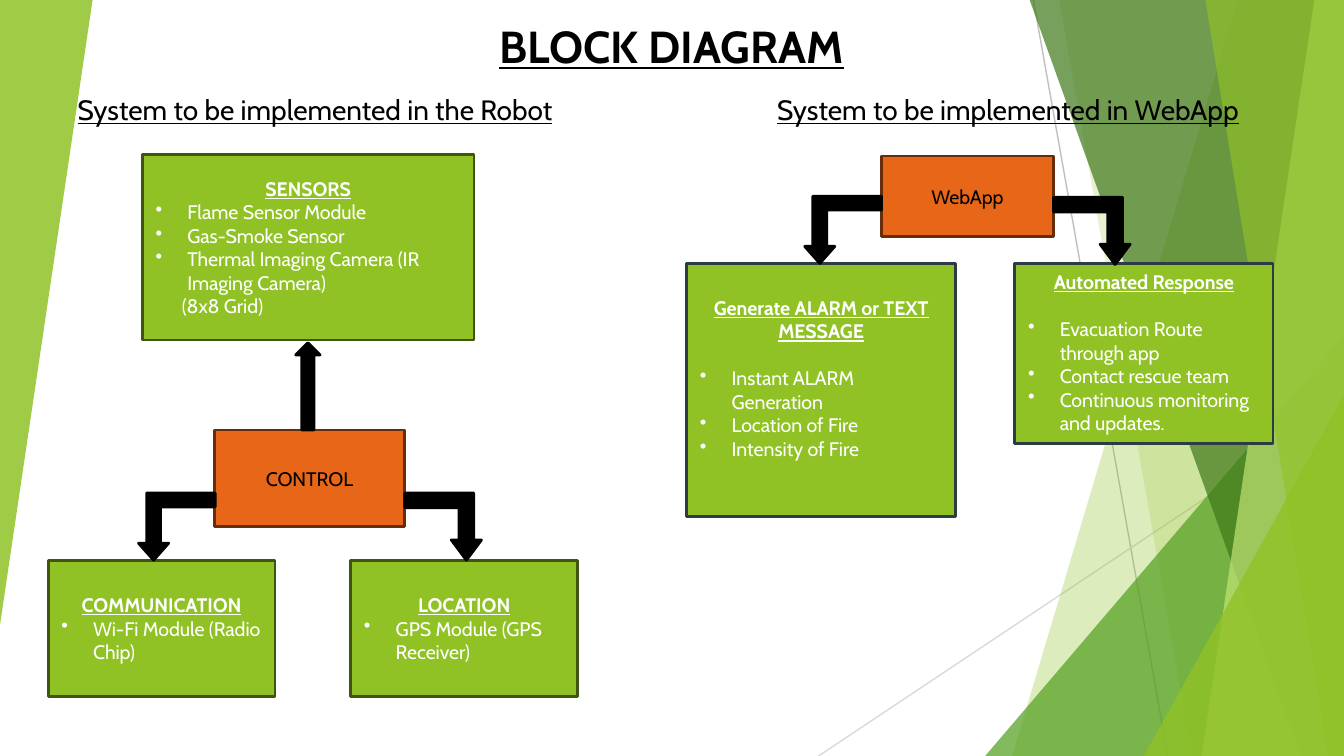
from pptx import Presentation
from pptx.dml.color import RGBColor
from pptx.enum.shapes import MSO_CONNECTOR, MSO_SHAPE
from pptx.enum.text import MSO_ANCHOR, PP_ALIGN
from pptx.oxml.ns import qn
from pptx.oxml.xmlchemy import OxmlElement
from pptx.util import Cm, Pt

BLACK = RGBColor(0x00, 0x00, 0x00)
WHITE = RGBColor(0xFF, 0xFF, 0xFF)
GREEN = RGBColor(0x90, 0xC2, 0x26)
MID_GREEN = RGBColor(0x54, 0xA0, 0x21)
DARK_GREEN = RGBColor(0x3F, 0x78, 0x19)
PALE_GREEN = RGBColor(0xC0, 0xE4, 0x74)
ORANGE = RGBColor(0xE7, 0x66, 0x18)
GREEN_EDGE = RGBColor(0x3F, 0x55, 0x11)
ORANGE_EDGE = RGBColor(0x65, 0x2D, 0x0B)
SLATE_EDGE = RGBColor(0x2C, 0x3C, 0x43)
SILVER = RGBColor(0xBF, 0xBF, 0xBF)
LIGHT_SILVER = RGBColor(0xD9, 0xD9, 0xD9)

WIDTH, HEIGHT = 25.4, 14.29
FONT = "Cabin"
BLANK_LINE = Pt(12.6)


def write(paragraph, text, size=10.5, color=WHITE, bold=False, underline=False,
          align=PP_ALIGN.LEFT, bullet=False, indent=0, space_after=0):
    paragraph.alignment = align
    paragraph.space_after = space_after
    run = paragraph.add_run()
    run.text = text
    font = run.font
    font.name, font.size, font.bold, font.underline = FONT, Pt(size), bold, underline
    font.color.rgb = color
    properties = paragraph._p.get_or_add_pPr()
    if bullet:
        properties.set("marL", str(Cm(0.6)))
        properties.set("indent", str(-Cm(0.6)))
        mark = OxmlElement("a:buChar")
        mark.set("char", "•")
        properties.append(mark)
    elif indent:
        properties.set("marL", str(Cm(indent)))


class BlockDiagram:
    def __init__(self, slide):
        self.shapes = slide.shapes

    def paint(self, shape, fill, edge=None, opacity=100):
        shape.shadow.inherit = False
        shape.fill.solid()
        shape.fill.fore_color.rgb = fill
        if opacity < 100:
            alpha = OxmlElement("a:alpha")
            alpha.set("val", str(opacity * 1000))
            shape._element.spPr.find(qn("a:solidFill"))[0].append(alpha)
        if edge is None:
            shape.line.fill.background()
        else:
            shape.line.color.rgb = edge
            shape.line.width = Pt(1.5)

    def preset(self, kind, place, fill, edge=None, opacity=100, adjustments=()):
        shape = self.shapes.add_shape(kind, *map(Cm, place))
        for index, value in enumerate(adjustments):
            shape.adjustments[index] = value
        self.paint(shape, fill, edge, opacity)
        return shape

    def line(self, start, end, color):
        connector = self.shapes.add_connector(
            MSO_CONNECTOR.STRAIGHT, *map(Cm, start + end))
        connector.line.color.rgb = color
        connector.line.width = Pt(0.75)
        connector._element.spPr.append(OxmlElement("a:effectLst"))

    def band(self, top, bottom, fill, opacity):
        builder = self.shapes.build_freeform(Cm(top), 0)
        builder.add_line_segments([
            (Cm(WIDTH), 0), (Cm(WIDTH), Cm(HEIGHT)), (Cm(bottom), Cm(HEIGHT))])
        self.paint(builder.convert_to_shape(), fill, opacity=opacity)

    def triangle(self, place, fill, opacity):
        return self.preset(MSO_SHAPE.ISOSCELES_TRIANGLE, place, fill,
                           opacity=opacity, adjustments=(1,))

    def heading(self, text, place, size, bold=False):
        frame = self.shapes.add_textbox(*map(Cm, place)).text_frame
        frame.word_wrap = True
        write(frame.paragraphs[0], text, size=size, color=BLACK, bold=bold,
              underline=True, align=PP_ALIGN.CENTER)

    def hub(self, text, place):
        shape = self.preset(MSO_SHAPE.RECTANGLE, place, ORANGE, ORANGE_EDGE)
        write(shape.text_frame.paragraphs[0], text, color=BLACK, align=PP_ALIGN.CENTER)

    def box(self, title, items, place, edge=GREEN_EDGE, gap=0, anchor=MSO_ANCHOR.MIDDLE):
        frame = self.preset(MSO_SHAPE.RECTANGLE, place, GREEN, edge).text_frame
        frame.vertical_anchor = anchor
        write(frame.paragraphs[0], title, bold=True, underline=True,
              align=PP_ALIGN.CENTER, space_after=gap)
        for item in items:
            write(frame.add_paragraph(), item, bullet=True)
        return frame

    def bent_arrow(self, left, top, to_left):
        adjustments = (0.207, 0.224, 0.253) if to_left else (0.219, 0.224, 0.301)
        shape = self.preset(MSO_SHAPE.BENT_UP_ARROW, (left, top, 1.45, 1.27),
                            BLACK, BLACK, adjustments=adjustments)
        transform = shape._element.spPr.find(qn("a:xfrm"))
        transform.set("flipV", "1")
        if to_left:
            transform.set("flipH", "1")


def draw_backdrop(diagram):
    diagram.line((19.53, 0), (22.07, HEIGHT), SILVER)
    diagram.line((WIDTH, 7.67), (15.47, HEIGHT), LIGHT_SILVER)
    diagram.band(23.39, 19.13, GREEN, 30)
    diagram.band(20.02, 22.53, GREEN, 20)
    diagram.triangle((18.62, 6.35, 6.78, 7.94), MID_GREEN, 72)
    diagram.band(19.46, 24.59, DARK_GREEN, 70)
    diagram.band(24.84, 22.71, PALE_GREEN, 70)
    diagram.band(22.78, 25.1, GREEN, 65)
    diagram.triangle((21.62, 7.47, 3.78, 6.82), GREEN, 80)
    diagram.triangle((0, 0, 1.75, 11.81), GREEN, 85).rotation = 180


def draw_robot(diagram):
    diagram.heading("System to be implemented in the Robot", (0.86, 1.63, 10.19, 0.89), 15)
    diagram.hub("CONTROL", (4.06, 8.13, 3.58, 1.83))
    sensors = diagram.box(
        "SENSORS",
        ["Flame Sensor Module", "Gas-Smoke Sensor",
         "Thermal Imaging Camera (IR Imaging Camera)"],
        (2.69, 2.92, 6.27, 3.51))
    write(sensors.add_paragraph(), "(8x8 Grid)", indent=0.5)
    diagram.box("LOCATION", ["GPS Module (GPS Receiver)"], (6.63, 10.59, 4.29, 2.57))
    diagram.box("COMMUNICATION", ["Wi-Fi Module (Radio Chip)"], (0.91, 10.59, 4.29, 2.57))
    diagram.bent_arrow(7.65, 9.32, to_left=False)
    diagram.bent_arrow(2.62, 9.32, to_left=True)
    diagram.preset(MSO_SHAPE.UP_ARROW, (5.59, 6.48, 0.46, 1.65), BLACK, BLACK)


def draw_web_app(diagram):
    diagram.heading("System to be implemented in WebApp", (12.7, 1.63, 12.7, 0.89), 15)
    diagram.hub("WebApp", (16.66, 2.95, 3.25, 1.52))
    alarm = diagram.box(
        "Generate ALARM or TEXT MESSAGE",
        ["Instant ALARM Generation", "Location of Fire", "Intensity of Fire"],
        (12.98, 4.98, 5.08, 4.78), SLATE_EDGE, BLANK_LINE)
    alarm.margin_bottom = Cm(0.57)
    diagram.box(
        "Automated Response",
        ["Evacuation Route through app", "Contact rescue team",
         "Continuous monitoring and updates."],
        (19.18, 4.98, 4.88, 3.4), SLATE_EDGE, BLANK_LINE, MSO_ANCHOR.TOP)
    diagram.bent_arrow(15.21, 3.71, to_left=True)
    diagram.bent_arrow(19.91, 3.73, to_left=False)


def main():
    presentation = Presentation()
    presentation.slide_width, presentation.slide_height = Cm(WIDTH), Cm(HEIGHT)
    diagram = BlockDiagram(presentation.slides.add_slide(presentation.slide_layouts[6]))
    draw_backdrop(diagram)
    diagram.heading("BLOCK DIAGRAM", (8.74, 0.23, 7.9, 1.27), 24, bold=True)
    draw_robot(diagram)
    draw_web_app(diagram)
    presentation.save("out.pptx")


if __name__ == "__main__":
    main()
